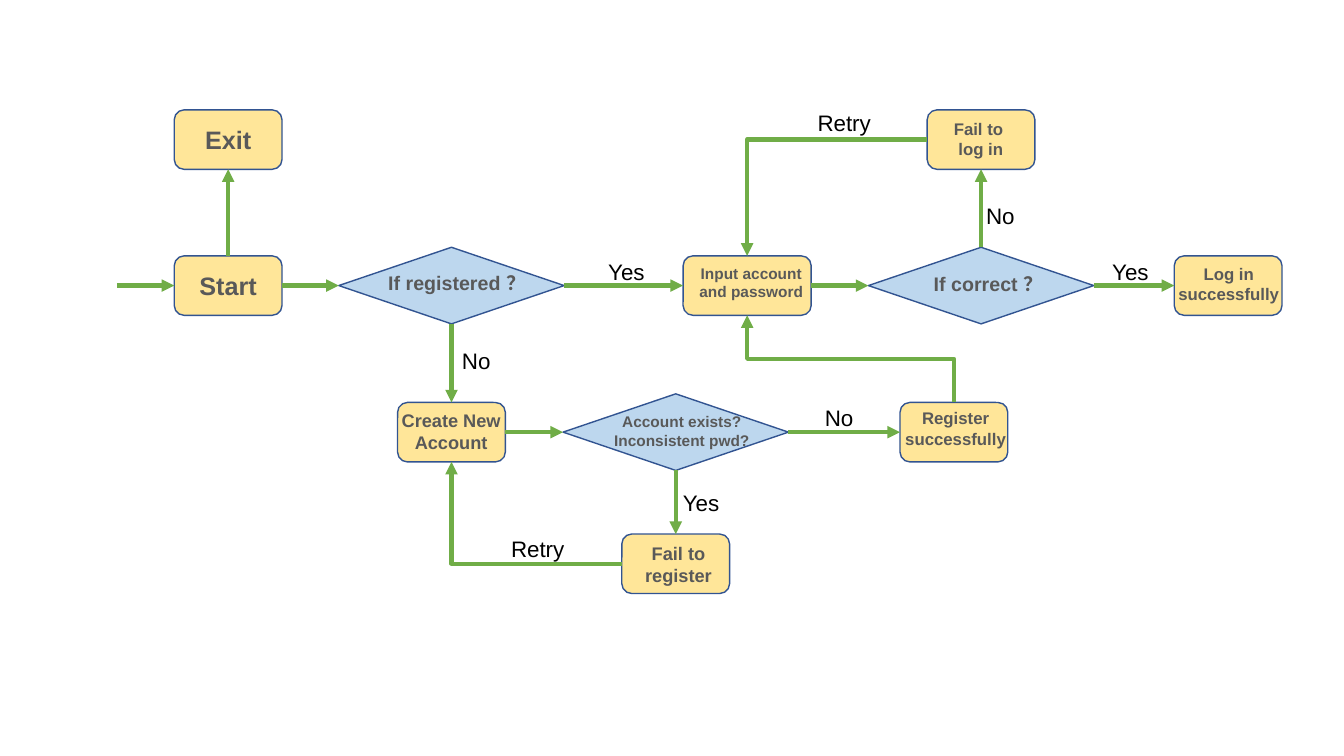
from pptx import Presentation
from pptx.dml.color import RGBColor
from pptx.enum.shapes import MSO_CONNECTOR as LINK, MSO_SHAPE as SHAPE
from pptx.enum.text import MSO_ANCHOR, MSO_AUTO_SIZE, PP_ALIGN
from pptx.oxml.ns import qn
from pptx.util import Pt
from lxml import etree

YELLOW = RGBColor(0xFF, 0xE6, 0x99)
BLUE = RGBColor(0xBD, 0xD7, 0xEE)
NAVY = RGBColor(0x32, 0x54, 0x91)
GREEN = RGBColor(0x70, 0xAD, 0x47)
GRAY = RGBColor(0x59, 0x59, 0x59)
BLACK = RGBColor(0, 0, 0)
TOP, LEFT, BOTTOM, RIGHT = range(4)

prs = Presentation()
prs.slide_width, prs.slide_height = Pt(960), Pt(540)
slide = prs.slides.add_slide(prs.slide_layouts[6])


def write(frame, lines, size, color, bold):
    frame.word_wrap = True
    for i, line in enumerate(lines):
        paragraph = frame.paragraphs[0] if i == 0 else frame.add_paragraph()
        paragraph.alignment = PP_ALIGN.CENTER
        run = paragraph.add_run()
        run.text = line
        run.font.name = "Arial"
        run.font.size = Pt(size)
        run.font.bold = bold
        run.font.color.rgb = color


def style_arrow(arrow):
    arrow.line.color.rgb = GREEN
    arrow.line.width = Pt(3)
    etree.SubElement(arrow.line._get_or_add_ln(), qn("a:tailEnd"), type="triangle")
    etree.SubElement(arrow._element.spPr, qn("a:effectLst"))


# Steps and decisions: centre x, centre y
ROW_TOP, ROW_LOGIN, ROW_ACCOUNT, ROW_FAIL = 99.7, 204, 308.7, 402.7
STEP = (SHAPE.ROUNDED_RECTANGLE, YELLOW, 77, 42.5)
WIDE_STEP = (SHAPE.ROUNDED_RECTANGLE, YELLOW, 91.5, 42.5)
DECISION = (SHAPE.FLOWCHART_DECISION, BLUE, 161, 54.7)
nodes = {}
for name, (preset, fill, width, height), x, y in [
    ("start", STEP, 163, ROW_LOGIN),
    ("exit", STEP, 163, ROW_TOP),
    ("registered", DECISION, 322.5, ROW_LOGIN),
    ("create", STEP, 322.5, ROW_ACCOUNT),
    ("exists", DECISION, 482.7, ROW_ACCOUNT),
    ("register failed", STEP, 482.7, ROW_FAIL),
    ("register done", STEP, 681.4, ROW_ACCOUNT),
    ("input", WIDE_STEP, 533.7, ROW_LOGIN),
    ("correct", DECISION, 700.8, ROW_LOGIN),
    ("login failed", STEP, 700.8, ROW_TOP),
    ("login done", STEP, 877.3, ROW_LOGIN),
]:
    node = slide.shapes.add_shape(
        preset, Pt(x - width / 2), Pt(y - height / 2), Pt(width), Pt(height))
    node.shadow.inherit = False
    node.fill.solid()
    node.fill.fore_color.rgb = fill
    node.line.color.rgb = NAVY
    node.line.width = Pt(1)
    node.text_frame.vertical_anchor = MSO_ANCHOR.MIDDLE
    nodes[name] = node

for name, word in [("start", "Start"), ("exit", "Exit")]:
    write(nodes[name].text_frame, [word], 18, GRAY, True)

# Entry arrow
entry = slide.shapes.add_connector(
    LINK.STRAIGHT, Pt(83.5), Pt(ROW_LOGIN), Pt(124.5), Pt(ROW_LOGIN))
entry.end_connect(nodes["start"], LEFT)
style_arrow(entry)

# Arrows between nodes
for source, source_side, target, target_side, bend in [
    ("start", RIGHT, "registered", LEFT, None),
    ("start", TOP, "exit", BOTTOM, None),
    ("registered", BOTTOM, "create", TOP, None),
    ("registered", RIGHT, "input", LEFT, None),
    ("create", RIGHT, "exists", LEFT, None),
    ("exists", BOTTOM, "register failed", TOP, None),
    ("exists", RIGHT, "register done", LEFT, None),
    ("input", RIGHT, "correct", LEFT, None),
    ("correct", TOP, "login failed", BOTTOM, None),
    ("correct", RIGHT, "login done", LEFT, None),
    ("register failed", LEFT, "create", BOTTOM, "bentConnector2"),
    ("login failed", LEFT, "input", TOP, "bentConnector2"),
    ("register done", TOP, "input", BOTTOM, "bentConnector3"),
]:
    arrow = slide.shapes.add_connector(LINK.ELBOW if bend else LINK.STRAIGHT, 0, 0, 0, 0)
    arrow.begin_connect(nodes[source], source_side)
    arrow.end_connect(nodes[target], target_side)
    style_arrow(arrow)
    if bend:
        arrow._element.spPr.find(qn("a:prstGeom")).set("prst", bend)
    if bend == "bentConnector3":
        # Quarter turn so that the elbow leaves and arrives vertically
        x, y, width, height = arrow.left, arrow.top, arrow.width, arrow.height
        arrow.left, arrow.top = x + (width - height) // 2, y + (height - width) // 2
        arrow.width, arrow.height = height, width
        xfrm = arrow._element.spPr.find(qn("a:xfrm"))
        for key, value in [("rot", "16200000"), ("flipH", "0"), ("flipV", "1")]:
            xfrm.set(key, value)

# Node captions and branch labels: left, top, width, height
BRANCH = (16, BLACK, False)
for lines, left, top, width, height, (size, color, bold) in [
    (["If registered ？"], 260.6, 190, 131.8, 24.5, (14, GRAY, True)),
    (["If correct ？"], 640.1, 190.8, 131.8, 24.5, (14, GRAY, True)),
    (["Create New Account"], 256.3, 288.7, 131.8, 38.9, (13, GRAY, True)),
    (["Account exists?", "Inconsistent pwd?"], 421.2, 290.9, 131.8, 33.8, (11, GRAY, True)),
    (["Fail to register"], 434.9, 383.8, 99.4, 38.9, (13, GRAY, True)),
    (["Register successfully"], 632.9, 288, 99.4, 36, (12, GRAY, True)),
    (["Log in successfully"], 828, 185, 99.4, 36, (12, GRAY, True)),
    (["Fail to ", "log in"], 650.9, 81.4, 99.4, 36, (12, GRAY, True)),
    (["Input account and password"], 491, 185, 91.4, 33.8, (11, GRAY, True)),
    (["Yes"], 467.3, 345.6, 67, 26.6, BRANCH),
    (["No"], 565.9, 285.1, 67, 26.6, BRANCH),
    (["No"], 681.1, 141.1, 67, 26.6, BRANCH),
    (["No"], 306.7, 244.1, 67, 26.6, BRANCH),
    (["Yes"], 414, 180.7, 67, 26.6, BRANCH),
    (["Yes"], 774, 180.7, 67, 26.6, BRANCH),
    (["Retry"], 569.5, 74.2, 67, 26.6, BRANCH),
    (["Retry"], 350.6, 378.7, 67, 26.6, BRANCH),
]:
    caption = slide.shapes.add_textbox(Pt(left), Pt(top), Pt(width), Pt(height))
    write(caption.text_frame, lines, size, color, bold)
    caption.text_frame.auto_size = MSO_AUTO_SIZE.SHAPE_TO_FIT_TEXT

prs.save("out.pptx")
